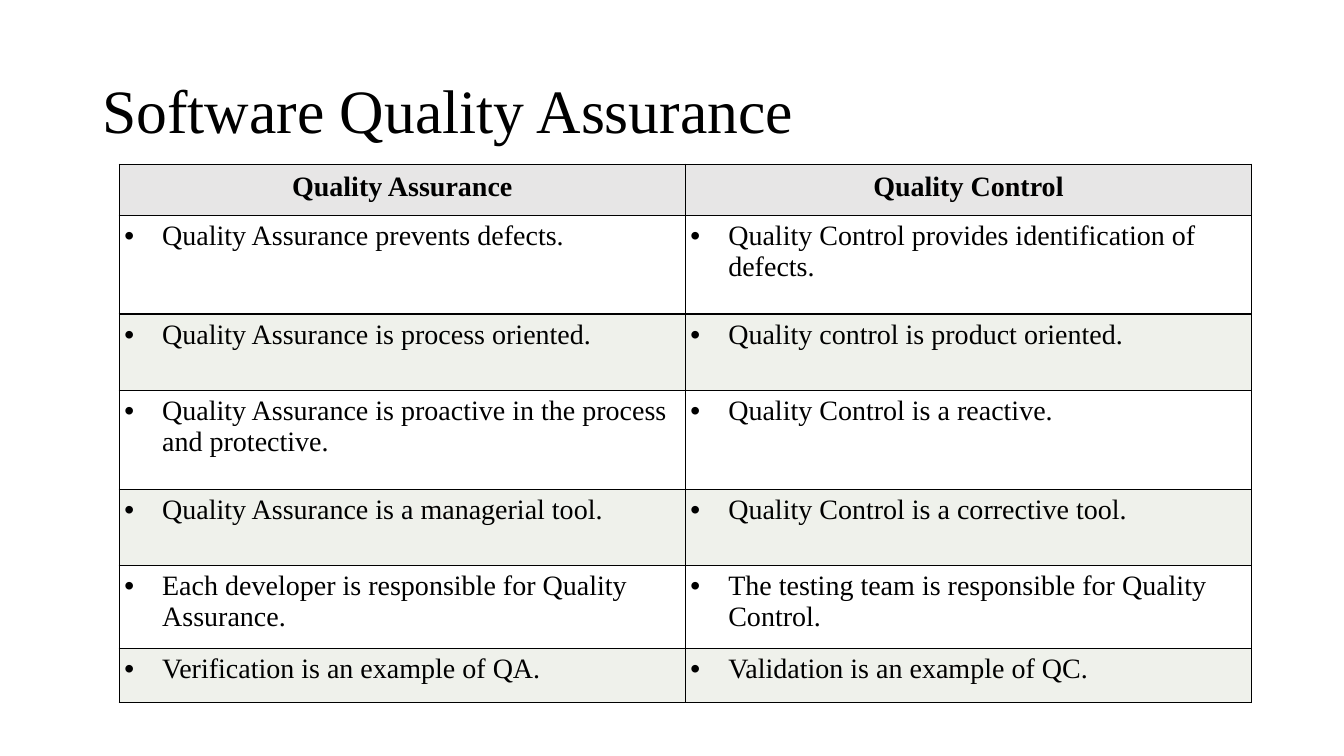
from lxml.etree import SubElement as Sub
from pptx import Presentation
from pptx.dml.color import RGBColor
from pptx.enum.text import MSO_ANCHOR as Anchor, PP_ALIGN as Align
from pptx.oxml.ns import qn
from pptx.util import Pt

FACE = "Times New Roman"
BLACK, WHITE, GREY, GREEN = "000000", "FFFFFF", "E7E6E6", "EFF1EB"
HEADS = ("Quality Assurance", "Quality Control")
PAIRS = [
    ("Quality Assurance prevents defects.",
     "Quality Control provides identification of defects."),
    ("Quality Assurance is process oriented.",
     "Quality control is product oriented."),
    ("Quality Assurance is proactive in the process and protective.",
     "Quality Control is a reactive."),
    ("Quality Assurance is a managerial tool.",
     "Quality Control is a corrective tool."),
    ("Each developer is responsible for Quality Assurance.",
     "The testing team is responsible for Quality Control."),
    ("Verification is an example of QA.",
     "Validation is an example of QC."),
]
HEIGHTS = (36.6, 70.5, 54.6, 70.5, 54.6, 59, 39)


def paint(fill, color):
    fill.solid()
    fill.fore_color.rgb = RGBColor.from_string(color)


def style(para, size, bold=False):
    font = para.font
    font.name, font.size, font.bold = FACE, Pt(size), bold
    paint(font.fill, BLACK)


def bullet(para, indent):
    """Give the paragraph a hanging dot."""
    props = para._p.get_or_add_pPr()
    props.set("marL", str(Pt(indent)))
    props.set("indent", str(-Pt(indent)))
    Sub(props, qn("a:buFont"), typeface="Arial")
    Sub(props, qn("a:buChar"), char="•")


def border(cell):
    props = cell._tc.get_or_add_tcPr()
    for side in ("lnL", "lnR", "lnT", "lnB"):
        line = Sub(props, qn("a:" + side), w=str(Pt(1)))
        Sub(Sub(line, qn("a:solidFill")), qn("a:srgbClr"), val=BLACK)


def add_title(slide, text, left, top, width, height):
    box = slide.shapes.add_textbox(Pt(left), Pt(top), Pt(width), Pt(height))
    frame = box.text_frame
    frame.word_wrap = True
    frame.vertical_anchor = Anchor.MIDDLE
    para = frame.paragraphs[0]
    para.text = text
    para.line_spacing = 0.9
    style(para, 44)


def fill_cell(cell, text, head, color):
    inset = Pt(5 if head else 3.6)
    cell.margin_left = cell.margin_right = inset
    cell.margin_top = cell.margin_bottom = inset
    border(cell)
    paint(cell.fill, color)
    para = cell.text_frame.paragraphs[0]
    para.text = text
    if head:
        para.alignment = Align.CENTER
    else:
        bullet(para, 27)
    style(para, 20, head)


def add_grid(slide, left, top, width):
    rows = [HEADS, *PAIRS]
    table = slide.shapes.add_table(
        len(rows), len(HEADS), Pt(left), Pt(top), Pt(width),
        Pt(sum(HEIGHTS))).table
    table.first_row = table.horz_banding = False
    for i, (texts, height) in enumerate(zip(rows, HEIGHTS)):
        table.rows[i].height = Pt(height)
        color = GREY if i == 0 else WHITE if i % 2 else GREEN
        for j, text in enumerate(texts):
            fill_cell(table.cell(i, j), text, i == 0, color)


def main():
    deck = Presentation()
    deck.slide_width, deck.slide_height = Pt(960), Pt(540)
    slide = deck.slides.add_slide(deck.slide_layouts[6])
    paint(slide.background.fill, WHITE)
    add_title(slide, "Software Quality Assurance", 66, 28.75, 828, 104.4)
    add_grid(slide, 85.2, 117.2, 808.8)
    deck.save("out.pptx")


if __name__ == "__main__":
    main()
